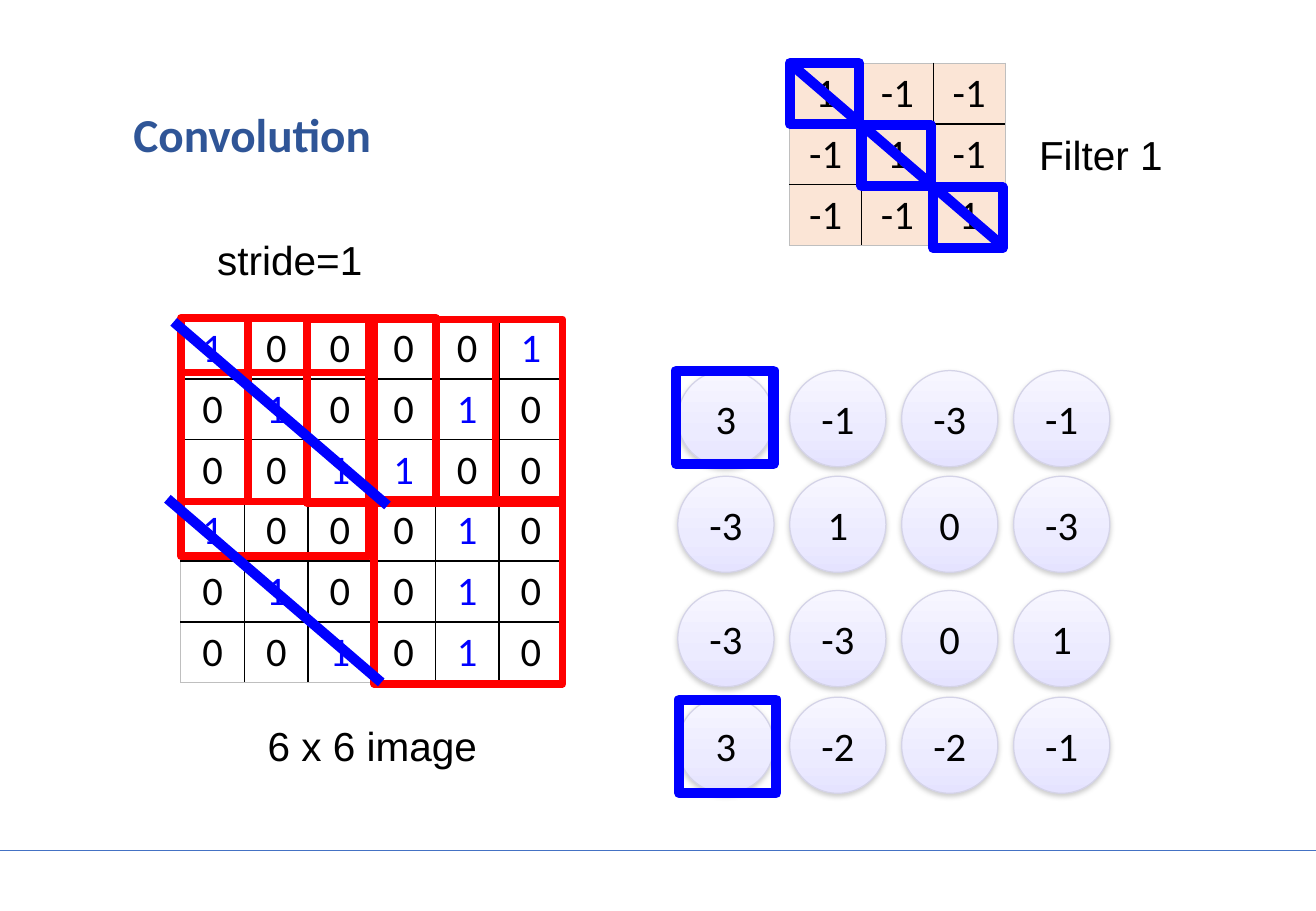
from lxml.etree import SubElement
from pptx import Presentation
from pptx.dml.color import RGBColor
from pptx.enum.shapes import MSO_CONNECTOR, MSO_SHAPE
from pptx.enum.text import MSO_ANCHOR, PP_ALIGN
from pptx.oxml import parse_xml
from pptx.oxml.ns import nsdecls, qn
from pptx.util import Cm, Pt

COLORS = {
    "ink": "000000", "title": "2F5597", "rule": "4472C4", "window": "FF0000",
    "match": "0000FF", "filter": "FBE5D6", "edge": "BFBFBF", "ring": "D4D3E7",
    "light": "F7F6FF", "middle": "ECEBFF", "deep": "E5E3FF", "shade": "808080",
}
IMAGE = ["100001", "010010", "001100", "100010", "010010", "001010"]
FILTER = [[1, -1, -1], [-1, 1, -1], [-1, -1, 1]]
FEATURES = [[3, -1, -3, -1], [-3, 1, 0, -3], [-3, -3, 0, 1], [3, -2, -2, -1]]
FEATURE_ROWS = [0, 2.21, 4.6, 6.83]
WINDOWS = [(0, 0), (1.4, 0), (2.64, 0.03), (4.04, 0.03), (0, 1.14), (4.04, 3.81)]
DIAGONAL = (4.47, 3.84)


def rgb(name):
    """Return the named colour."""
    return RGBColor.from_string(COLORS[name])


def style_text(frame, text, font="Calibri", size=24, color="ink", bold=False,
               align=PP_ALIGN.CENTER):
    """Fill a text frame with one formatted paragraph."""
    frame.text = text
    para = frame.paragraphs[0]
    para.alignment = align
    span = para.runs[0]
    span.font.name = font
    span.font.size = Pt(size)
    span.font.bold = bold
    span.font.color.rgb = rgb(color)


def add_label(page, box, text, wrap=True, **style):
    """Add a text box."""
    frame = page.shapes.add_textbox(*map(Cm, box)).text_frame
    frame.word_wrap = wrap
    style_text(frame, text, **style)
    return frame


def add_frame(page, box, color, width):
    """Add an unfilled rectangle."""
    frame = page.shapes.add_shape(MSO_SHAPE.RECTANGLE, *map(Cm, box))
    frame.shadow.inherit = False
    frame.fill.background()
    frame.line.color.rgb = rgb(color)
    frame.line.width = Pt(width)


def add_stroke(page, left, top, span, color="match", width=6):
    """Add a straight line that runs span across and down."""
    ends = (left, top, left + span[0], top + span[1])
    stroke = page.shapes.add_connector(MSO_CONNECTOR.STRAIGHT, *map(Cm, ends))
    stroke.line.color.rgb = rgb(color)
    stroke.line.width = Pt(width)
    SubElement(stroke._element.spPr, qn("a:effectLst"))


def set_borders(cell, outer_sides):
    """Give a cell black inner borders and thin grey outer ones, by side."""
    properties = cell._tc.get_or_add_tcPr()
    for position, side in enumerate("LRTB"):
        outer = side in outer_sides
        color, width = ("edge", 0.5) if outer else ("ink", 1)
        properties.insert(position, parse_xml(
            f'<a:ln{side} {nsdecls("a")} w="{Pt(width)}"><a:solidFill>'
            f'<a:srgbClr val="{COLORS[color]}"/></a:solidFill></a:ln{side}>'))


def add_matrix(page, box, values, fill=None, highlight="ink"):
    """Add a square table of numbers, with its ones in the highlight colour."""
    count = len(values)
    table = page.shapes.add_table(count, count, *map(Cm, box)).table
    table.first_row = table.horz_banding = False
    for row, line in enumerate(values):
        for column, value in enumerate(line):
            cell = table.cell(row, column)
            text = str(value)
            style_text(cell.text_frame, text, color=highlight if text == "1" else "ink")
            if fill:
                cell.fill.solid()
                cell.fill.fore_color.rgb = rgb(fill)
            else:
                cell.fill.background()
            at_edge = {"L": column == 0, "R": column == count - 1,
                       "T": row == 0, "B": row == count - 1}
            set_borders(cell, [side for side, outer in at_edge.items() if outer])


def add_feature(page, box, text):
    """Add one shaded circle that holds a number."""
    circle = page.shapes.add_shape(MSO_SHAPE.OVAL, *map(Cm, box))
    stops = "".join(
        f'<a:gs pos="{position}"><a:srgbClr val="{COLORS[color]}"/></a:gs>'
        for position, color in ((0, "light"), (65000, "middle"), (100000, "deep")))
    properties = circle._element.spPr
    properties.insert(2, parse_xml(
        f'<a:gradFill {nsdecls("a")}><a:gsLst>{stops}</a:gsLst>'
        '<a:lin ang="5400000" scaled="0"/></a:gradFill>'))
    circle.line.color.rgb = rgb("ring")
    circle.line.width = Pt(0.75)
    properties.append(parse_xml(
        f'<a:effectLst {nsdecls("a")}><a:outerShdw blurRad="40000" dist="20000" '
        f'dir="5400000" rotWithShape="0"><a:srgbClr val="{COLORS["shade"]}">'
        '<a:alpha val="38000"/></a:srgbClr></a:outerShdw></a:effectLst>'))
    circle.text_frame.vertical_anchor = MSO_ANCHOR.MIDDLE
    style_text(circle.text_frame, text)


def add_title(page, box):
    """Add the slide title."""
    frame = add_label(page, box, "Convolution", size=28, color="title", bold=True,
                      align=PP_ALIGN.LEFT)
    frame.margin_left = frame.margin_right = 0
    frame.vertical_anchor = MSO_ANCHOR.MIDDLE
    frame.paragraphs[0].line_spacing = 0.9


def add_image_region(page, box):
    """Add the image matrix, its labels, filter windows and matches."""
    left, top, width, height = box
    add_matrix(page, box, IMAGE, highlight="match")
    add_label(page, (left + 0.74, top + height + 0.69, 6.53, 1.27), "6 x 6 image",
              font="Arial")
    add_label(page, (left + 0.51, top - 1.85, 3.58, 1.27), "stride=1", wrap=False,
              font="Arial", align=PP_ALIGN.LEFT)
    for across, down in WINDOWS:
        add_frame(page, (left + across, top + down, 3.94, 3.84), "window", 4.5)
    for across, down in ((-0.15, 0.08), (-0.28, 3.78)):
        add_stroke(page, left + across, top + down, DIAGONAL)


def add_filter_region(page, box):
    """Add the filter matrix with its marked diagonal and label."""
    left, top, width, height = box
    add_matrix(page, box, FILTER, fill="filter")
    add_label(page, (left + width, top + 1.27, 4.01, 1.3), "Filter 1", font="Arial")
    for step in range(3):
        add_frame(page, (left + 1.5 * step, top + 1.3 * step, 1.45, 1.27), "match", 6)
    add_stroke(page, left, top, DIAGONAL)


def add_feature_region(page, box):
    """Add the grid of result circles and frame its two matches."""
    left, top, width, height = box
    size = 2.01
    pitch = (width - size) / 3
    for down, line in zip(FEATURE_ROWS, FEATURES):
        for column, value in enumerate(line):
            add_feature(page, (left + pitch * column, top + down, size, size), str(value))
    for across, down in ((-0.03, 0), (0.03, height - 1.96)):
        add_frame(page, (left + across, top + down, 2.03, 1.96), "match", 6)


def main():
    """Build the convolution slide."""
    deck = Presentation()
    deck.slide_width, deck.slide_height = Cm(27.51), Cm(19.05)
    page = deck.slides.add_slide(deck.slide_layouts[6])
    add_stroke(page, 0, 17.78, (27.51, 0), color="rule", width=0.5)
    add_title(page, (2.79, 1.02, 21.89, 3.68))
    add_image_region(page, (3.78, 6.65, 7.98, 7.62))
    add_filter_region(page, (16.51, 1.32, 4.5, 3.81))
    add_feature_region(page, (14.17, 7.75, 9.03, 8.84))
    deck.save("out.pptx")


if __name__ == "__main__":
    main()
